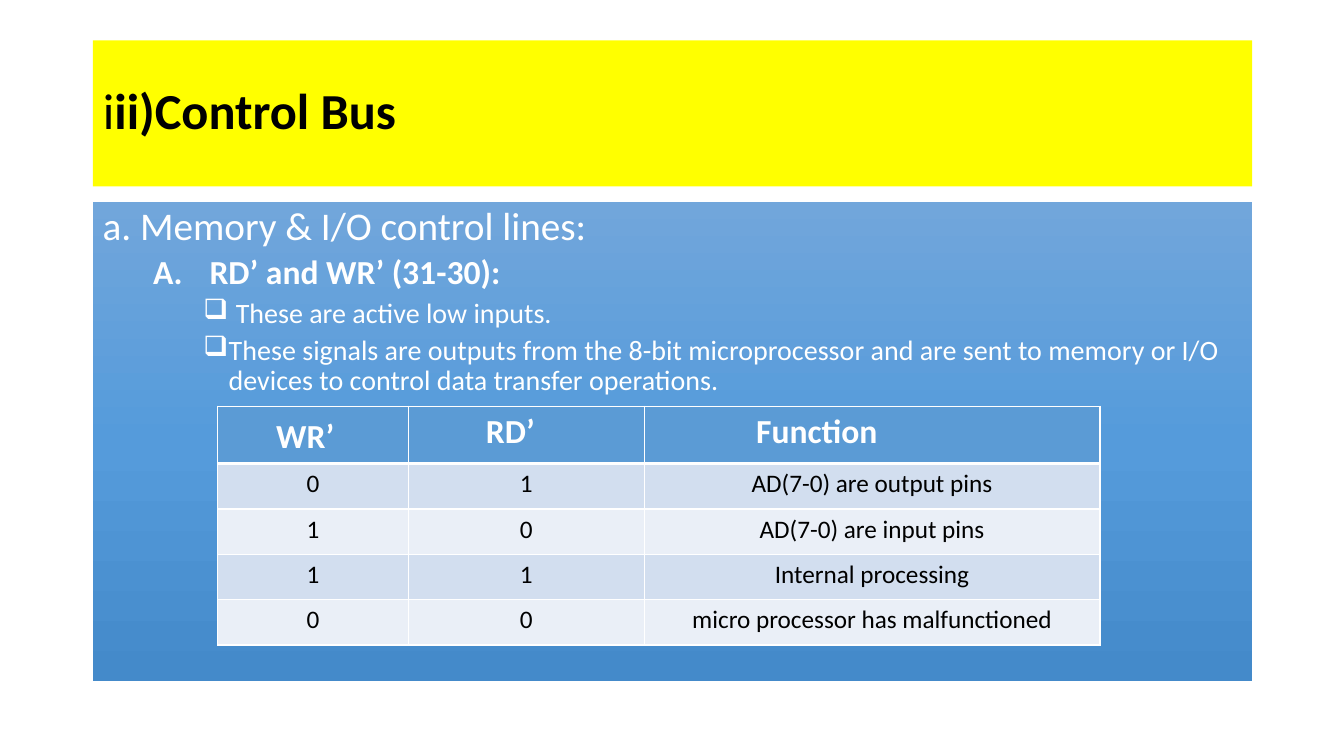
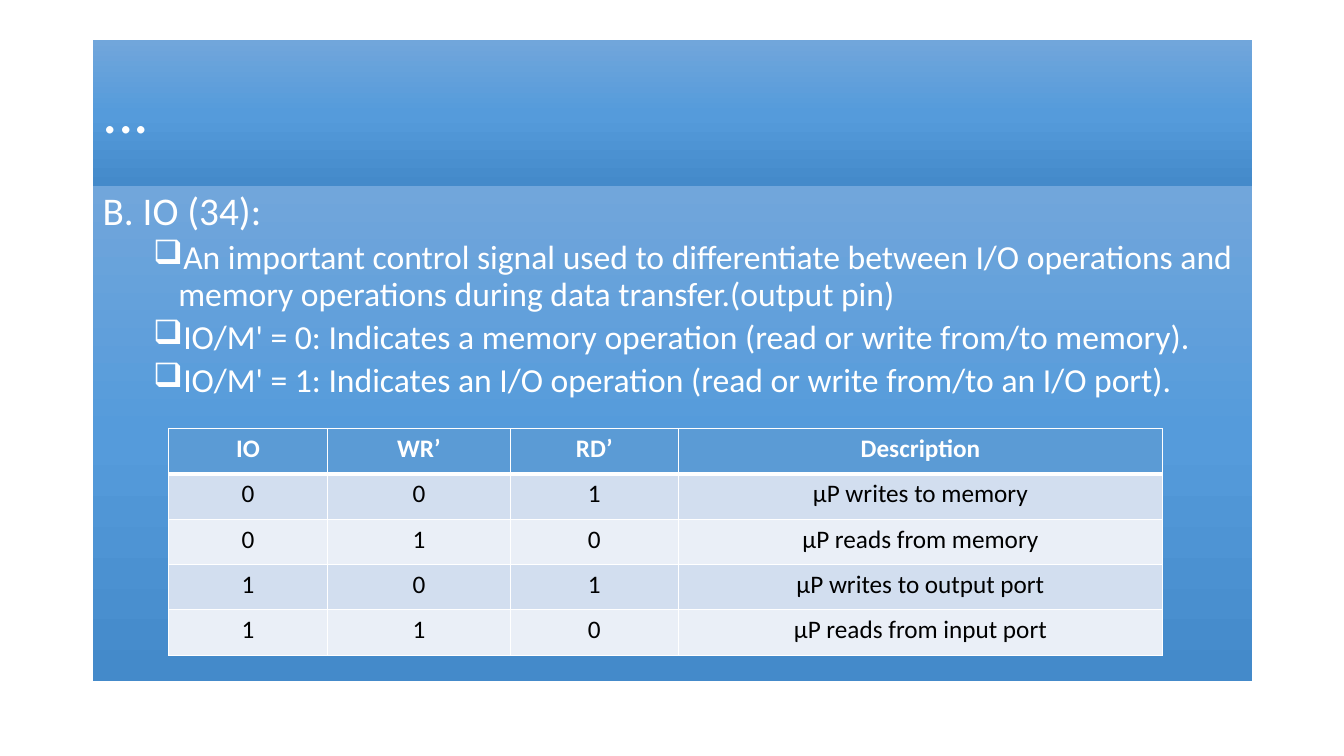
"""Build two slides on the control bus of an 8-bit microprocessor."""
from copy import deepcopy

from pptx import Presentation
from pptx.dml.color import RGBColor
from pptx.enum.text import MSO_ANCHOR, MSO_AUTO_SIZE, PP_ALIGN
from pptx.oxml import parse_xml
from pptx.oxml.ns import nsdecls, qn
from pptx.util import Inches, Pt

FONT = "Calibri"
BLACK = RGBColor(0x00, 0x00, 0x00)
WHITE = RGBColor(0xFF, 0xFF, 0xFF)
YELLOW = RGBColor(0xFF, 0xFF, 0x00)
HEAD = RGBColor(0x5B, 0x9B, 0xD5)
BANDS = RGBColor(0xD2, 0xDE, 0xEF), RGBColor(0xEA, 0xEF, 0xF7)
SHADES = (
    RGBColor(0x71, 0xA6, 0xDB),
    RGBColor(0x55, 0x9B, 0xDB),
    RGBColor(0x44, 0x8A, 0xCA),
)

LEFT, WIDTH, TOP, TITLE_H, BOTTOM = 0.92, 11.5, 0.4, 1.45, 6.76
ROW_H = 0.45

BOX = '<a:buFont %s typeface="Wingdings"/>', '<a:buChar %s char="q"/>'
ALPHA = '<a:buFont %s typeface="+mj-lt"/>', '<a:buAutoNum %s type="alphaUcPeriod"/>'

SLIDES = [
    {
        "title": [("i", False), ("ii)Control Bus", True)],
        "size": 36,
        "color": BLACK,
        "fill": YELLOW,
        "top": 2,
        "body": [
            ("a. Memory & I/O control lines:", {"size": 28}),
            ("RD’ and WR’ (31-30):",
             {"size": 24, "bold": True, "level": 1, "indent": (1.06, 0.56), "bullet": ALPHA}),
            ("These are active low inputs.",
             {"size": 20, "level": 2, "indent": (1.32, 0.32), "bullet": BOX}),
            ("These signals are outputs from the 8-bit microprocessor and are sent to "
             "memory or I/O devices to control data transfer operations.",
             {"size": 20, "level": 2, "indent": (1.25, 0.25), "bullet": BOX}),
        ],
        "place": (2.16, 4.03),
        "cols": (1.89, 2.34, 4.52),
        "head": (0.57, 24),
        "insets": [(0.58, 0.1), (0.77, 0.05), (1.11, 0.05)],
        "rows": [
            ("WR’", "RD’", "Function"),
            ("0", "1", "AD(7-0) are output pins"),
            ("1", "0", "AD(7-0) are input pins"),
            ("1", "1", "Internal processing"),
            ("0", "0", "micro processor has malfunctioned"),
        ],
    },
    {
        "title": [("...", False)],
        "size": 44,
        "color": WHITE,
        "fill": SHADES,
        "top": TOP + TITLE_H,
        "body": [("B. IO (34):", {"size": 28})] + [
            (text, {"size": 24, "level": 1, "indent": (0.75, 0.25), "bullet": BOX})
            for text in (
                "An important control signal used to differentiate between I/O operations "
                "and memory operations during data transfer.(output pin)",
                "IO/M' = 0: Indicates a memory operation (read or write from/to memory).",
                "IO/M' = 1: Indicates an I/O operation (read or write from/to an I/O port).",
            )
        ],
        "place": (1.67, 4.25),
        "cols": (1.58, 1.81, 1.67, 4.8),
        "head": (ROW_H, 18),
        "insets": [],
        "rows": [
            ("IO", "WR’", "RD’", "Description"),
            ("0", "0", "1", "μP writes to memory"),
            ("0", "1", "0", "μP reads from memory"),
            ("1", "0", "1", "μP writes to output port"),
            ("1", "1", "0", "μP reads from input port"),
        ],
    },
]


def write(para, text, size=18, color=WHITE, bold=False, align=PP_ALIGN.LEFT,
          level=0, indent=None, bullet=(), before=0, line=None):
    """Fill a paragraph with a string or a list of (string, bold) runs."""
    props = para._p.get_or_add_pPr()
    if indent:
        props.set("marL", str(Inches(indent[0])))
        props.set("indent", str(-Inches(indent[1])))
    for tag in bullet:
        props.append(parse_xml(tag % nsdecls("a")))
    para.level = level
    para.alignment = align
    para.space_before = Pt(before)
    if line:
        para.line_spacing = line
    for part, heavy in [(text, bold)] if isinstance(text, str) else text:
        run = para.add_run()
        run.text = part
        run.font.name = FONT
        run.font.size = Pt(size)
        run.font.bold = heavy
        run.font.color.rgb = color


def paint(shape, fill):
    """Fill a shape with one colour or with evenly spaced shades."""
    if isinstance(fill, RGBColor):
        shape.fill.solid()
        shape.fill.fore_color.rgb = fill
        return
    shape.fill.gradient()
    shape.fill.gradient_angle = 270
    stops = shape.element.find(".//" + qn("a:gsLst"))
    stops.insert(1, deepcopy(stops[0]))
    for i, stop in enumerate(shape.fill.gradient_stops):
        stop.position = i / (len(fill) - 1)
        stop.color.rgb = fill[i]


def edge(cell, **widths):
    """Draw the white borders of a cell, widths in points."""
    for side in "LRTB":
        width = Pt(widths.get(side, 1))
        cell._tc.get_or_add_tcPr().append(parse_xml(
            f'<a:ln{side} {nsdecls("a")} w="{width}"><a:solidFill>'
            f'<a:srgbClr val="{WHITE}"/></a:solidFill></a:ln{side}>'))


def add_title(slide, data):
    """Format the title placeholder as a band."""
    title = slide.shapes.title
    title.left, title.top = Inches(LEFT), Inches(TOP)
    title.width, title.height = Inches(WIDTH), Inches(TITLE_H)
    paint(title, data["fill"])
    frame = title.text_frame
    frame.auto_size = MSO_AUTO_SIZE.NONE
    frame.vertical_anchor = MSO_ANCHOR.MIDDLE
    write(frame.paragraphs[0], data["title"], size=data["size"],
          color=data["color"], line=0.9)


def add_body(slide, data):
    """Add the shaded panel with its outline text."""
    top = data["top"]
    panel = slide.shapes.add_textbox(
        Inches(LEFT), Inches(top), Inches(WIDTH), Inches(BOTTOM - top))
    paint(panel, SHADES)
    frame = panel.text_frame
    frame.word_wrap = True
    frame.auto_size = MSO_AUTO_SIZE.NONE
    for i, (text, style) in enumerate(data["body"]):
        para = frame.add_paragraph() if i else frame.paragraphs[0]
        write(para, text, before=5 if i else 0, line=0.9, **style)


def add_grid(slide, data):
    """Add the signal table."""
    rows, cols, insets = data["rows"], data["cols"], data["insets"]
    tall, size = data["head"]
    left, top = data["place"]
    grid = slide.shapes.add_table(
        len(rows), len(cols), Inches(left), Inches(top), Inches(sum(cols)),
        Inches(tall + ROW_H * (len(rows) - 1))).table
    for col, width in zip(grid.columns, cols):
        col.width = Inches(width)
    for r, row in enumerate(rows):
        grid.rows[r].height = Inches(ROW_H if r else tall)
        for c, text in enumerate(row):
            cell = grid.cell(r, c)
            edge(cell, T=3 if r == 1 else 1, B=1 if r else 3)
            cell.fill.solid()
            cell.fill.fore_color.rgb = BANDS[(r - 1) % 2] if r else HEAD
            align = PP_ALIGN.CENTER
            if insets and not r:
                align = PP_ALIGN.LEFT
                cell.margin_left, cell.margin_top = map(Inches, insets[c])
            write(cell.text_frame.paragraphs[0], text, size=18 if r else size,
                  color=BLACK if r else WHITE, bold=not r, align=align)


def main():
    """Build and save the deck."""
    deck = Presentation()
    deck.slide_width, deck.slide_height = Inches(13.33), Inches(7.5)
    for data in SLIDES:
        slide = deck.slides.add_slide(deck.slide_layouts[5])
        add_title(slide, data)
        add_body(slide, data)
        add_grid(slide, data)
    deck.save("out.pptx")


if __name__ == "__main__":
    main()
